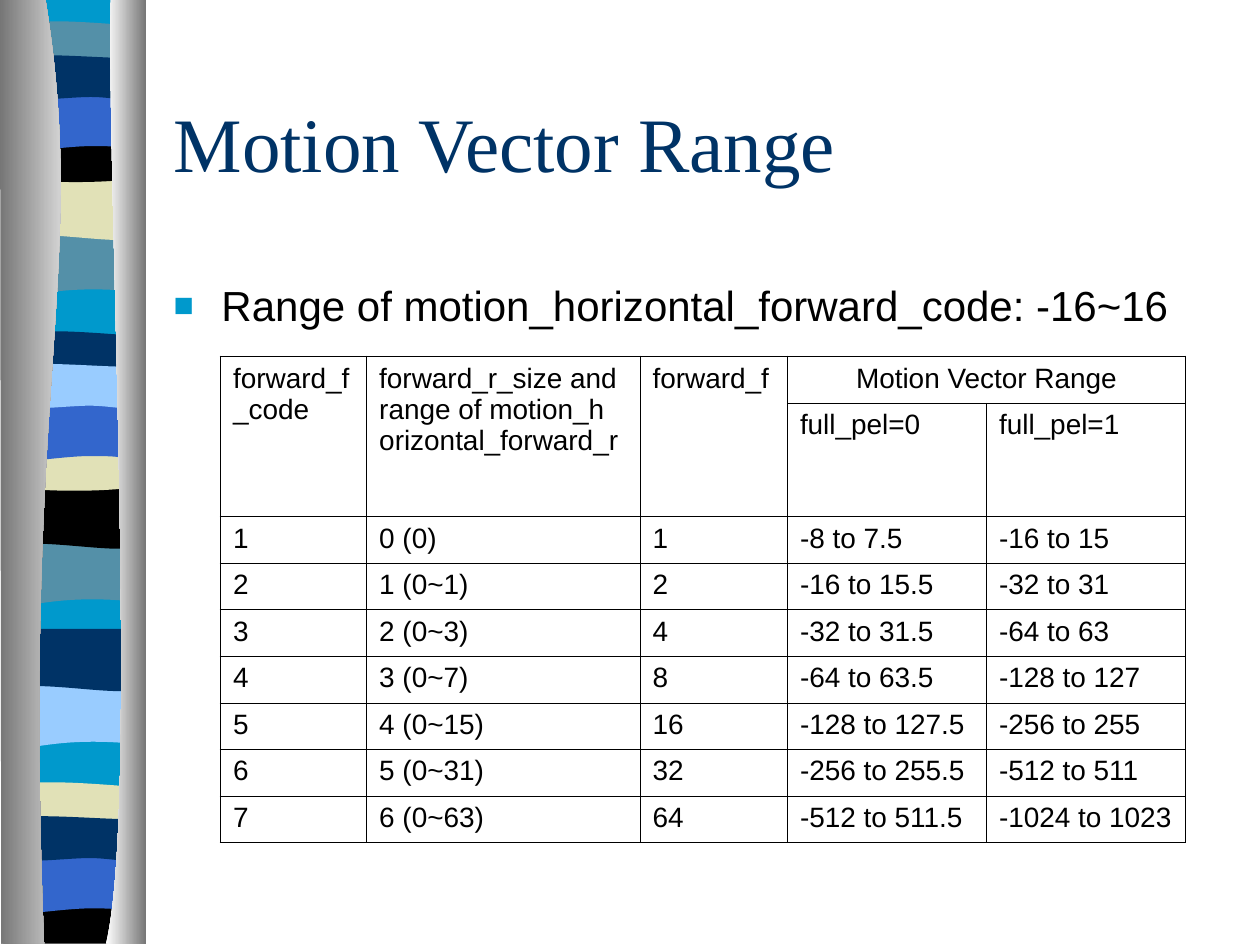
"""Build the Motion Vector Range slide with its wavy side ribbon and range table."""
from lxml import etree
from pptx import Presentation
from pptx.dml.color import RGBColor
from pptx.enum.text import MSO_ANCHOR, PP_ALIGN
from pptx.oxml.ns import qn
from pptx.util import Inches, Pt

MIDDLE, TOP = MSO_ANCHOR.MIDDLE, MSO_ANCHOR.TOP
LEFT, CENTER = PP_ALIGN.LEFT, PP_ALIGN.CENTER

THEME = {
    "cyan": "0099CC", "steel": "5490A8", "cream": "E1E1B7", "black": "000000",
    "blue": "3366CC", "navy": "003366", "sky": "99CCFF",
    "gray": "767676", "white": "FFFFFF",
    "title": {"name": "Times New Roman", "size": Pt(44), "color": "navy"},
    "body": {"name": "Arial", "size": Pt(24), "color": "black"},
    "cell": {"name": "Arial", "size": Pt(16), "color": "black"},
    "inner": 0.45, "outer": 1.08,
}

TITLE = "Motion Vector Range"
BULLET = "Range of motion_horizontal_forward_code: -16~16"
ROWS = [
    ("forward_f_code", "forward_r_size and\vrange of motion_h\vorizontal_forward_r",
     "forward_f", "Motion Vector Range", ""),
    ("", "", "", "full_pel=0", "full_pel=1"),
    ("1", "0 (0)", "1", "-8 to 7.5", "-16 to 15"),
    ("2", "1 (0~1)", "2", "-16 to 15.5", "-32 to 31"),
    ("3", "2 (0~3)", "4", "-32 to 31.5", "-64 to 63"),
    ("4", "3 (0~7)", "8", "-64 to 63.5", "-128 to 127"),
    ("5", "4 (0~15)", "16", "-128 to 127.5", "-256 to 255"),
    ("6", "5 (0~31)", "32", "-256 to 255.5", "-512 to 511"),
    ("7", "6 (0~63)", "64", "-512 to 511.5", "-1024 to 1023"),
]
MERGES = [((0, 0), (1, 0)), ((0, 1), (1, 1)), ((0, 2), (1, 2)), ((0, 3), (0, 4))]
COLUMN_WIDTHS = [1.16, 2.17, 1.17, 1.58, 1.58]
ROW_HEIGHTS = [0.37, 0.9] + [0.37] * 7

BAND_OUTLINES = {
    "base": [(1.08, 0), (1.08, 7.48), (0, 7.48), (0, 0)],
    "wave": [(1.08, 0), (1.08, 0.47), ((0.33, 0.39), (0.18, 0.55), (0, 0.47)), (0, 0)],
    "swell": [(1.08, 0), (1.08, 0.47), ((0.9, 0.55), (0.33, 0.41), (0, 0.47)), (0, 0)],
    "thin": [(1.08, 0.05), (1.08, 0.29), ((0.9, 0.33), (0.18, 0.33), (0, 0.29)), (0, 0.05),
             ((0.06, 0), (0.23, 0.01), (0.41, 0.01)), ((0.59, 0.01), (0.94, 0.04), (1.08, 0.05))],
    "cup": [(1.08, 0), (1.08, 0.32), ((0.9, 0.38), (0.18, 0.38), (0, 0.32)), (0, 0),
            ((0.66, 0.05), (0.85, 0), (1.08, 0))],
    "arch": [(1.08, 0), (1.08, 0.47), ((0.91, 0.42), (0.84, 0.42), (0.66, 0.42)),
             ((0.48, 0.42), (0.16, 0.47), (0, 0.47)), (0, 0)],
    "ribbon": [(1.08, 0.05), (1.08, 0.36), ((1.01, 0.41), (0.84, 0.36), (0.66, 0.36)),
               ((0.48, 0.36), (0.11, 0.41), (0, 0.36)), (0, 0.05),
               ((0.15, 0), (0.73, 0.05), (0.91, 0.05)), ((1.09, 0.05), (1.04, 0.05), (1.08, 0.05))],
    "foot": [(1.08, 0), (1.08, 0.37), (0, 0.37), (0, 0), ((0.66, 0.05), (0.85, 0), (1.08, 0))],
}
BANDS = [
    ("base", 0.06, -0.01, "cyan"), ("wave", 0.06, 1.85, "steel"), ("swell", 0.06, 1.41, "cream"),
    ("thin", 0.06, 0.16, "steel"), ("cup", 0.06, 1.08, "black"), ("arch", 0.06, 0.74, "blue"),
    ("ribbon", 0.06, 0.41, "navy"), ("wave", 0.05, 4.31, "steel"), ("swell", 0.05, 3.86, "black"),
    ("thin", 0.05, 2.62, "navy"), ("cup", 0.05, 3.53, "cream"), ("arch", 0.05, 3.2, "blue"),
    ("ribbon", 0.05, 2.86, "sky"), ("wave", 0.06, 5.44, "sky"), ("swell", 0.06, 4.99, "navy"),
    ("thin", 0.05, 6.2, "cream"), ("foot", 0.05, 7.12, "black"), ("arch", 0.05, 6.79, "blue"),
    ("ribbon", 0.05, 6.45, "navy"),
]
PILLARS = [
    ([(0.36, -0.01), ((0.71, 2.16), (0.17, 2.96), (0.35, 7.49)), (0.01, 7.49), (0, -0.01)],
     ("gray", "white")),
    ([(0.88, -0.01), ((0.84, 1.25), (1.11, 6.46), (0.84, 7.49)), (1.16, 7.49), (1.16, 0)],
     ("white", "gray")),
]


def color(name):
    return RGBColor.from_string(THEME[name])


def is_curve(step):
    return isinstance(step[0], tuple)


def bend_segments(shape, steps):
    """Turn each three straight segments that stand for a curve into one Bezier segment."""
    segments = iter(list(shape._element.iter(qn("a:lnTo"))))
    for step in steps:
        segment = next(segments)
        if is_curve(step):
            segment_points = [segment[0]]
            for _ in range(2):
                extra = next(segments)
                segment_points.append(extra[0])
                extra.getparent().remove(extra)
            curve = etree.Element(qn("a:cubicBezTo"))
            segment.getparent().replace(segment, curve)
            curve.extend(segment_points)


def add_outline(slide, outline, left=0, top=0):
    points = [point for step in outline for point in (step if is_curve(step) else (step,))]
    corners = [(Inches(left + x), Inches(top + y)) for x, y in points]
    builder = slide.shapes.build_freeform(*corners[0])
    builder.add_line_segments(corners[1:], close=True)
    shape = builder.convert_to_shape()
    bend_segments(shape, outline[1:])
    shape.shadow.inherit = False
    shape.line.fill.background()
    return shape


def add_ribbon(slide):
    for kind, left, top, fill in BANDS:
        band = add_outline(slide, BAND_OUTLINES[kind], left, top)
        band.fill.solid()
        band.fill.fore_color.rgb = color(fill)
    for outline, shades in PILLARS:
        pillar = add_outline(slide, outline)
        pillar.fill.gradient()
        pillar.fill.gradient_angle = 0
        for stop, shade in zip(pillar.fill.gradient_stops, shades):
            stop.color.rgb = color(shade)


def format_font(font, style):
    for key, value in THEME[style].items():
        if key == "color":
            font.color.rgb = color(value)
        else:
            setattr(font, key, value)


def add_text(slide, text, place, style, anchor):
    box = slide.shapes.add_textbox(*map(Inches, place))
    frame = box.text_frame
    frame.word_wrap = True
    frame.vertical_anchor = anchor
    para = frame.paragraphs[0]
    span = para.add_run()
    span.text = text
    format_font(span.font, style)
    return para


def add_bullet(para):
    properties = para._p.get_or_add_pPr()
    properties.set("marL", str(Inches(0.38)))
    properties.set("indent", str(-Inches(0.38)))
    tint = etree.SubElement(properties, qn("a:buClr"))
    etree.SubElement(tint, qn("a:srgbClr"), val=THEME["cyan"])
    etree.SubElement(properties, qn("a:buSzPct"), val="80000")
    etree.SubElement(properties, qn("a:buFont"), typeface=THEME["body"]["name"])
    etree.SubElement(properties, qn("a:buChar"), char="■")


def add_borders(cell, outer_edges):
    properties = cell._tc.get_or_add_tcPr()
    for edge, is_outer in outer_edges.items():
        width = Pt(THEME["outer" if is_outer else "inner"])
        line = etree.SubElement(properties, qn(f"a:ln{edge}"), w=str(width))
        fill = etree.SubElement(line, qn("a:solidFill"))
        etree.SubElement(fill, qn("a:srgbClr"), val=THEME["black"])


def add_range_table(slide):
    place = (1.75, 2.83, sum(COLUMN_WIDTHS), sum(ROW_HEIGHTS))
    table = slide.shapes.add_table(len(ROWS), len(COLUMN_WIDTHS), *map(Inches, place)).table
    table.first_row = table.horz_banding = False
    for column, width in zip(table.columns, COLUMN_WIDTHS):
        column.width = Inches(width)
    for row, height in zip(table.rows, ROW_HEIGHTS):
        row.height = Inches(height)
    for first, last in MERGES:
        table.cell(*first).merge(table.cell(*last))
    for r, values in enumerate(ROWS):
        for c, value in enumerate(values):
            cell = table.cell(r, c)
            if not cell.is_spanned:
                cell.text = value
                para = cell.text_frame.paragraphs[0]
                para.alignment = CENTER if cell.span_width > 1 else LEFT
                for span in para.runs:
                    format_font(span.font, "cell")
                add_borders(cell, {"L": c == 0, "R": c + cell.span_width == len(values),
                                   "T": r == 0, "B": r + cell.span_height == len(ROWS)})
            cell.fill.background()


def main():
    deck = Presentation()
    deck.slide_width, deck.slide_height = Inches(10), Inches(7.5)
    page = deck.slides.add_slide(deck.slide_layouts[6])
    add_ribbon(page)
    add_text(page, TITLE, (1.28, 0.5, 8.5, 1.25), "title", MIDDLE)
    add_range_table(page)
    add_bullet(add_text(page, BULLET, (1.28, 2.17, 8.5, 0.58), "body", TOP))
    deck.save("out.pptx")


if __name__ == "__main__":
    main()
